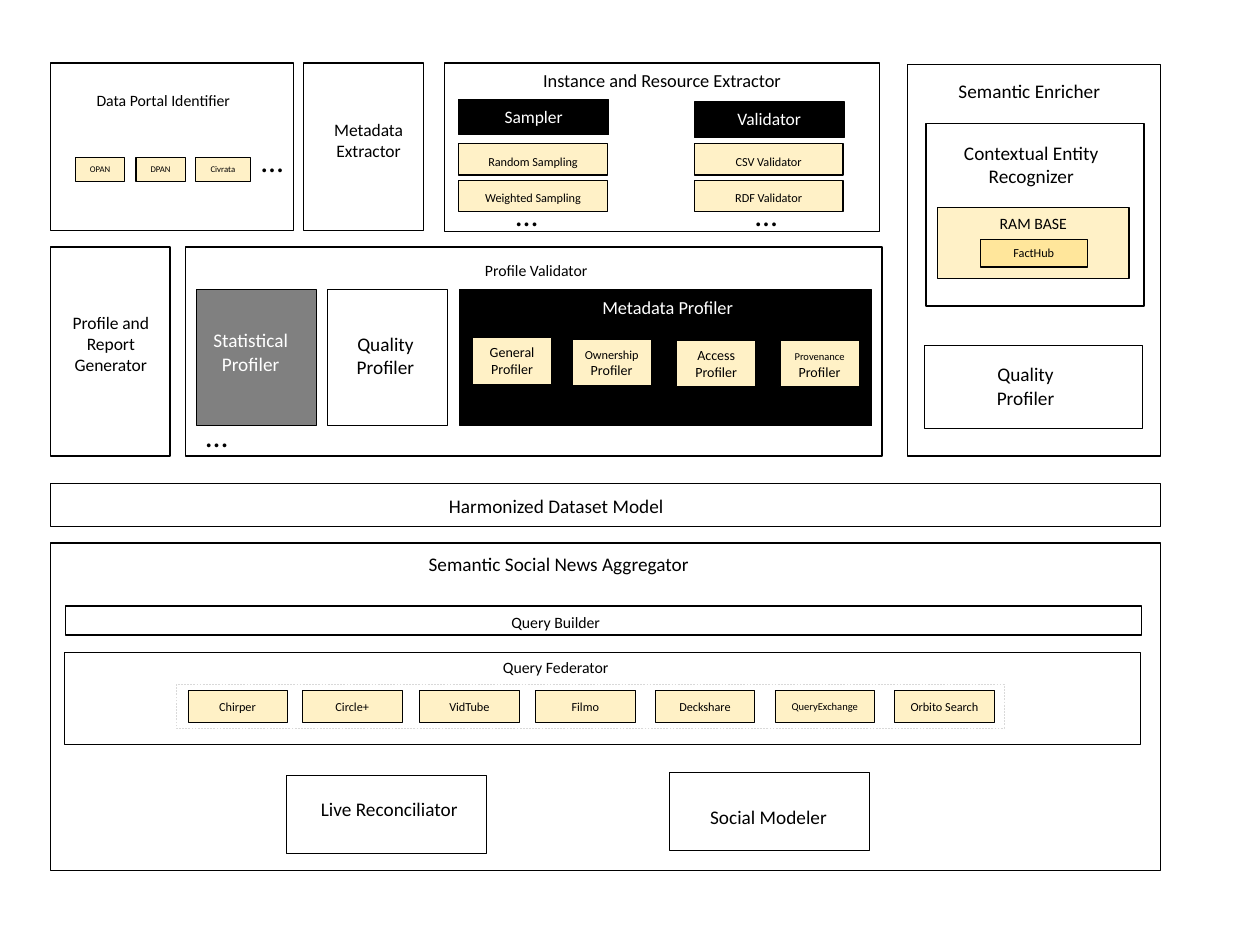
from dataclasses import dataclass

from lxml import etree
from pptx import Presentation
from pptx.dml.color import RGBColor
from pptx.enum import dml, shapes, text
from pptx.oxml import ns
from pptx.util import Inches, Pt


@dataclass(frozen=True)
class Theme:
    """Hold the colours, type sizes and line widths of the slide."""
    font: str = "Calibri"
    ink: str = "000000"
    paper: str = "FFFFFF"
    grey: str = "808080"
    dash: str = "D9D9D9"
    amber: str = "FFC000"
    cream: str = "FFF1C6"
    amber_alpha: int = 22
    tiny: float = 5
    fine: float = 6
    small: float = 7
    chip: float = 8
    caption: float = 9
    body: float = 10
    heading: float = 10.5
    title: float = 11
    dots: float = 18
    thin: float = 0.25
    line: float = 0.75


THEME = Theme()


def rgb(value):
    """Turn a hex string into a colour."""
    return RGBColor.from_string(value)


def write(shape, words, size, color, middle=False, spacing=None, lead=None):
    """Write a centred paragraph whose first word may have its own size."""
    frame = shape.text_frame
    frame.word_wrap = True
    frame.margin_left = frame.margin_right = Inches(0.05)
    frame.vertical_anchor = text.MSO_ANCHOR.MIDDLE if middle else text.MSO_ANCHOR.TOP
    paragraph = frame.paragraphs[0]
    paragraph.alignment = text.PP_ALIGN.CENTER
    paragraph.font.name = THEME.font
    paragraph.font.color.rgb = rgb(color)
    if spacing:
        paragraph.line_spacing = spacing
    if lead:
        first, rest = words.split(" ", 1)
        for part, part_size in ((first, lead), (" " + rest, size)):
            run = paragraph.add_run()
            run.text = part
            run.font.size = Pt(part_size)
    else:
        paragraph.font.size = Pt(size)
        paragraph.add_run().text = words


def add_box(slide, at, fill=None, line=THEME.ink, width=THEME.line, alpha=None):
    """Add a rectangle with an optional fill."""
    box = slide.shapes.add_shape(shapes.MSO_SHAPE.RECTANGLE, *map(Inches, at))
    box.shadow.inherit = False
    box.line.color.rgb = rgb(line)
    box.line.width = Pt(width)
    if fill is None:
        box.fill.background()
    else:
        box.fill.solid()
        box.fill.fore_color.rgb = rgb(fill)
    if alpha:
        color = box.fill._xPr.find(".//" + ns.qn("a:srgbClr"))
        etree.SubElement(color, ns.qn("a:alpha")).set("val", str(alpha * 1000))
    return box


def add_label(slide, at, words, size, color=THEME.ink, middle=False):
    """Add a text box with one centred paragraph."""
    write(slide.shapes.add_textbox(*map(Inches, at)), words, size, color, middle)


def add_amber(slide, at, words, size, spacing=None):
    """Add a translucent amber box with its name."""
    box = add_box(slide, at, THEME.amber, alpha=THEME.amber_alpha)
    write(box, words, size, THEME.ink, spacing=spacing)


def add_dots(slide, left, top):
    """Add an ellipsis that stands for further items."""
    add_label(slide, (left, top, 0.38, 0.4), "…", THEME.dots)


def add_portals(slide):
    """Draw the portal identifier and the metadata extractor."""
    add_box(slide, (0.4, 0.5, 1.93, 1.33))
    add_label(slide, (0.6, 0.67, 1.39, 0.25), "Data Portal Identifier", THEME.caption)
    for left, width, portal in ((0.6, 0.39, "OPAN"), (1.08, 0.39, "DPAN"),
                                (1.55, 0.44, "Civrata")):
        add_amber(slide, (left, 1.25, width, 0.19), portal, THEME.tiny)
    add_dots(slide, 1.97, 1.07)
    add_box(slide, (2.41, 0.5, 0.95, 1.33))
    add_label(slide, (2.53, 0.89, 0.79, 0.44), "Metadata Extractor", THEME.body, middle=True)


def add_extractor(slide):
    """Draw the extractor with its sampler and validator columns."""
    add_box(slide, (3.53, 0.5, 3.45, 1.34), THEME.paper)
    add_label(slide, (3.53, 0.5, 3.45, 0.28), "Instance and Resource Extractor", THEME.heading)
    columns = (
        (3.64, 0.79, 3.99, "Sampler", ("Random Sampling", "Weighted Sampling")),
        (5.51, 0.81, 5.89, "Validator", ("CSV Validator", "RDF Validator")),
    )
    for left, top, dots_left, name, methods in columns:
        write(add_box(slide, (left, top, 1.19, 0.28), THEME.ink), name, THEME.body, THEME.paper)
        for row, method in enumerate(methods):
            add_amber(slide, (left, 1.14 + 0.29 * row, 1.18, 0.25), method, THEME.small, 1.3)
        add_dots(slide, dots_left, 1.5)


def add_profilers(slide):
    """Draw the report generator and the profile validator."""
    add_box(slide, (0.4, 1.96, 0.95, 1.66))
    add_label(slide, (0.4, 2.43, 0.96, 0.6), "Profile and Report Generator",
              THEME.body, middle=True)
    add_box(slide, (1.47, 1.96, 5.53, 1.66))
    add_label(slide, (1.59, 2.02, 5.33, 0.25), "Profile Validator", THEME.caption, middle=True)
    add_box(slide, (1.56, 2.3, 0.95, 1.08), THEME.grey)
    add_label(slide, (1.56, 2.56, 0.86, 0.47), "Statistical Profiler", THEME.title, THEME.paper)
    add_box(slide, (2.6, 2.3, 0.95, 1.08))
    add_label(slide, (2.63, 2.59, 0.86, 0.47), "Quality Profiler", THEME.title)
    add_dots(slide, 1.53, 3.25)
    add_box(slide, (3.65, 2.3, 3.27, 1.08), THEME.ink)
    add_label(slide, (3.63, 2.3, 3.34, 0.28), "Metadata Profiler", THEME.heading, THEME.paper)
    aspects = ((3.75, 2.68, "General", None), (4.54, 2.69, "Ownership", THEME.small),
               (5.37, 2.7, "Access", None), (6.19, 2.7, "Provenance", THEME.fine))
    for left, top, aspect, lead in aspects:
        profiler = add_box(slide, (left, top, 0.63, 0.37), THEME.cream)
        write(profiler, f"{aspect} Profiler", THEME.chip, THEME.ink, lead=lead)


def add_enricher(slide):
    """Draw the semantic enricher column."""
    add_box(slide, (7.2, 0.51, 2.01, 3.11))
    add_label(slide, (7.29, 0.58, 1.76, 0.29), "Semantic Enricher", THEME.title)
    add_box(slide, (7.35, 0.98, 1.73, 1.45))
    add_label(slide, (7.32, 1.07, 1.73, 0.47), "Contextual Entity Recognizer", THEME.title)
    add_amber(slide, (7.44, 1.65, 1.52, 0.56), "RAM BASE", THEME.caption)
    add_amber(slide, (7.78, 1.9, 0.85, 0.22), "FactHub", THEME.small)
    add_box(slide, (7.34, 2.74, 1.73, 0.66))
    add_label(slide, (7.71, 2.83, 0.86, 0.47), "Quality Profiler", THEME.title)


def add_aggregator(slide):
    """Draw the dataset model and the news aggregator."""
    add_box(slide, (0.4, 3.84, 8.81, 0.34))
    add_label(slide, (2.67, 3.87, 3.49, 0.29), "Harmonized Dataset Model", THEME.title)
    add_box(slide, (0.4, 4.31, 8.81, 2.6))
    add_label(slide, (2.69, 4.33, 3.49, 0.29), "Semantic Social News Aggregator", THEME.title)
    for left, top, height, label_top, name in ((0.52, 4.81, 0.23, 4.81, "Query Builder"),
                                               (0.51, 5.18, 0.73, 5.17, "Query Federator")):
        add_box(slide, (left, top, 8.54, height))
        add_label(slide, (2.72, label_top, 3.38, 0.25), name, THEME.caption)
    sources = add_box(slide, (1.4, 5.43, 6.57, 0.35), line=THEME.dash, width=THEME.thin)
    sources.line.dash_style = dml.MSO_LINE.DASH
    services = ((1.49, "Chirper"), (2.4, "Circle+"), (3.33, "VidTube"), (4.25, "Filmo"),
                (5.2, "Deckshare"), (6.15, "QueryExchange"), (7.1, "Orbito Search"))
    for left, service in services:
        chip = add_box(slide, (left, 5.48, 0.79, 0.25), THEME.cream, width=THEME.thin)
        size = THEME.fine if service == "QueryExchange" else THEME.small
        write(chip, service, size, THEME.ink, middle=True)
    for left, top, label_left, label_top, name in (
            (2.27, 6.15, 2.27, 6.28, "Live Reconciliator"),
            (5.31, 6.13, 5.28, 6.34, "Social Modeler")):
        add_box(slide, (left, top, 1.59, 0.62), width=THEME.thin)
        add_label(slide, (label_left, label_top, 1.64, 0.29), name, THEME.title)


def main():
    """Build the architecture slide and save it."""
    deck = Presentation()
    deck.slide_width, deck.slide_height = Inches(10), Inches(7.5)
    slide = deck.slides.add_slide(deck.slide_layouts[6])
    for add_section in (add_portals, add_extractor, add_profilers, add_enricher, add_aggregator):
        add_section(slide)
    deck.save("out.pptx")


main()
